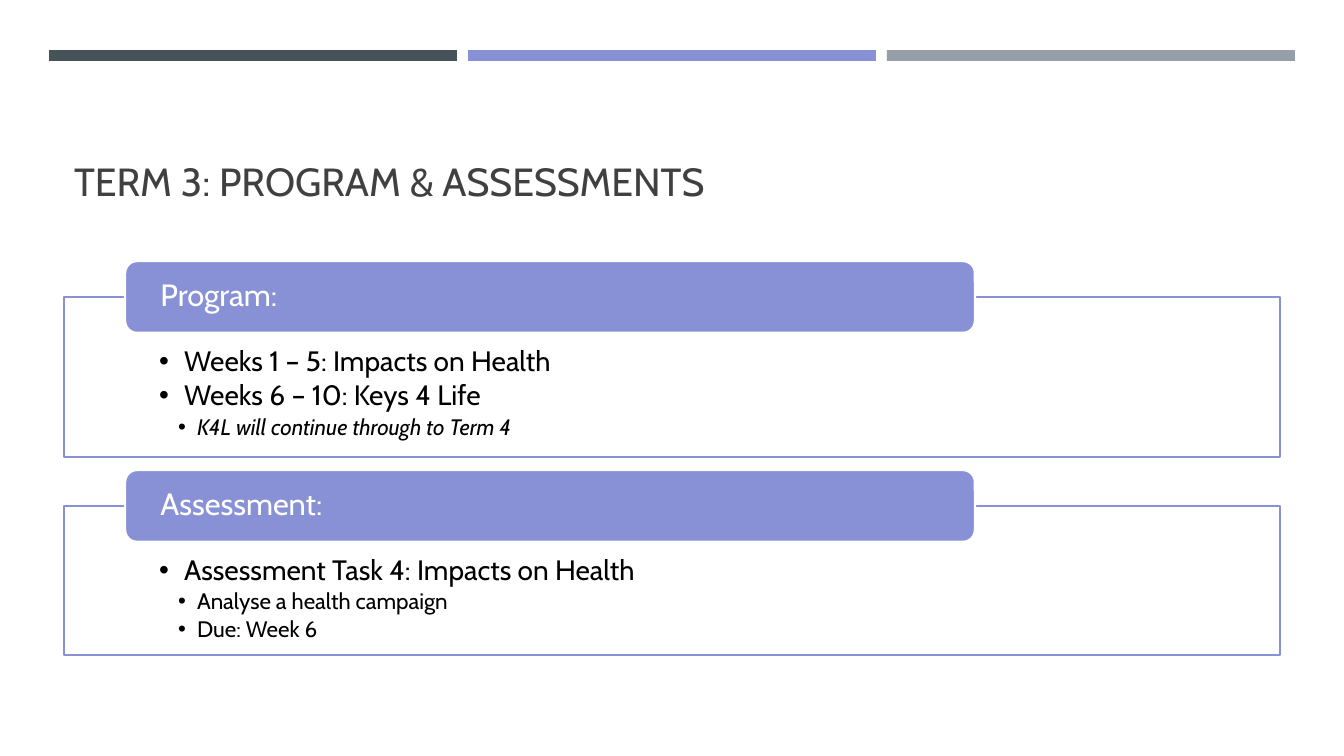
from lxml import etree
from pptx import Presentation
from pptx.dml.color import RGBColor
from pptx.enum.shapes import MSO_SHAPE
from pptx.enum.text import MSO_ANCHOR, PP_ALIGN
from pptx.oxml.ns import qn
from pptx.util import Emu, Pt

RECT, ROUNDED = MSO_SHAPE.RECTANGLE, MSO_SHAPE.ROUNDED_RECTANGLE
TOP, MIDDLE, BOTTOM = MSO_ANCHOR.TOP, MSO_ANCHOR.MIDDLE, MSO_ANCHOR.BOTTOM
LEFT = PP_ALIGN.LEFT
PX = 914400 / 100.8
FONT = "Cabin"
VIOLET, WHITE, BLACK = "8891D5", "FFFFFF", "000000"


def block(kind, box, fill, line=None):
    shape = slide.shapes.add_shape(kind, *[Emu(round(v * PX)) for v in box])
    shape.shadow.inherit = False
    shape.fill.solid()
    shape.fill.fore_color.rgb = RGBColor.from_string(fill)
    if line:
        shape.line.color.rgb = RGBColor.from_string(line)
        shape.line.width = Pt(1.75)
    else:
        shape.line.fill.background()
    return shape


def write(paragraph, text, size, color, italic=None):
    paragraph.alignment = LEFT
    run = paragraph.add_run()
    run.text = text
    run.font.name = FONT
    run.font.size = Pt(size)
    run.font.italic = italic
    run.font.color.rgb = RGBColor.from_string(color)


prs = Presentation()
prs.slide_width, prs.slide_height = Emu(round(1344 * PX)), Emu(round(756 * PX))
slide = prs.slides.add_slide(prs.slide_layouts[5])

# Three-colour band along the top
for i, color in enumerate(["465359", VIOLET, "969FA7"]):
    block(RECT, (49 + 419 * i, 50, 408, 11), color)

# Title
title = slide.shapes.title
title.left, title.top, title.width, title.height = [
    Emu(round(v * PX)) for v in (64, 78, 1216, 131)]
title.text_frame.vertical_anchor = BOTTOM
write(title.text_frame.paragraphs[0], "TERM 3: PROGRAM & ASSESSMENTS", 28, "404040")

# Sections: heading, frame top, frame height, bottom inset, (level, text, italic)
sections = [
    ("Program:", 297, 160, 16, [
        (1, "Weeks 1 – 5: Impacts on Health", None),
        (1, "Weeks 6 – 10: Keys 4 Life", None),
        (2, "K4L will continue through to Term 4", True)]),
    ("Assessment:", 506, 149, 12, [
        (1, "Assessment Task 4: Impacts on Health", None),
        (2, "Analyse a health campaign", None),
        (2, "Due: Week 6", None)]),
]
# Text size, left margin and hanging indent in px for each level
levels = {1: (20, 25, 25), 2: (16, 38, 19)}

for heading, top, height, bottom_inset, points in sections:
    # Outlined frame with the bulleted points
    frame = block(RECT, (64, top, 1216, height), WHITE, VIOLET)
    body = frame.text_frame
    body.word_wrap = True
    body.vertical_anchor = TOP
    body.margin_left = body.margin_right = Emu(round(95 * PX))
    body.margin_top = Emu(round(50 * PX))
    body.margin_bottom = Emu(round(bottom_inset * PX))
    for n, (level, text, italic) in enumerate(points):
        point = body.add_paragraph() if n else body.paragraphs[0]
        size, margin, hang = levels[level]
        point.level = level
        point.line_spacing = 0.9
        point.space_after = Pt(size * 0.15)
        props = point._p.get_or_add_pPr()
        props.set("marL", str(round(margin * PX)))
        props.set("indent", str(round(-hang * PX)))
        etree.SubElement(props, qn("a:buFont")).set("typeface", "Arial")
        etree.SubElement(props, qn("a:buChar")).set("char", "•")
        write(point, text, size, BLACK, italic)

    # Heading tab over the frame's top edge
    tab = block(ROUNDED, (125, top - 36, 850, 72), VIOLET, WHITE)
    label = tab.text_frame
    label.word_wrap = True
    label.vertical_anchor = MIDDLE
    label.margin_left = label.margin_right = Emu(round(32 * PX))
    label.margin_top = label.margin_bottom = 0
    label.paragraphs[0].line_spacing = 0.9
    write(label.paragraphs[0], heading, 22, WHITE)

prs.save("out.pptx")
